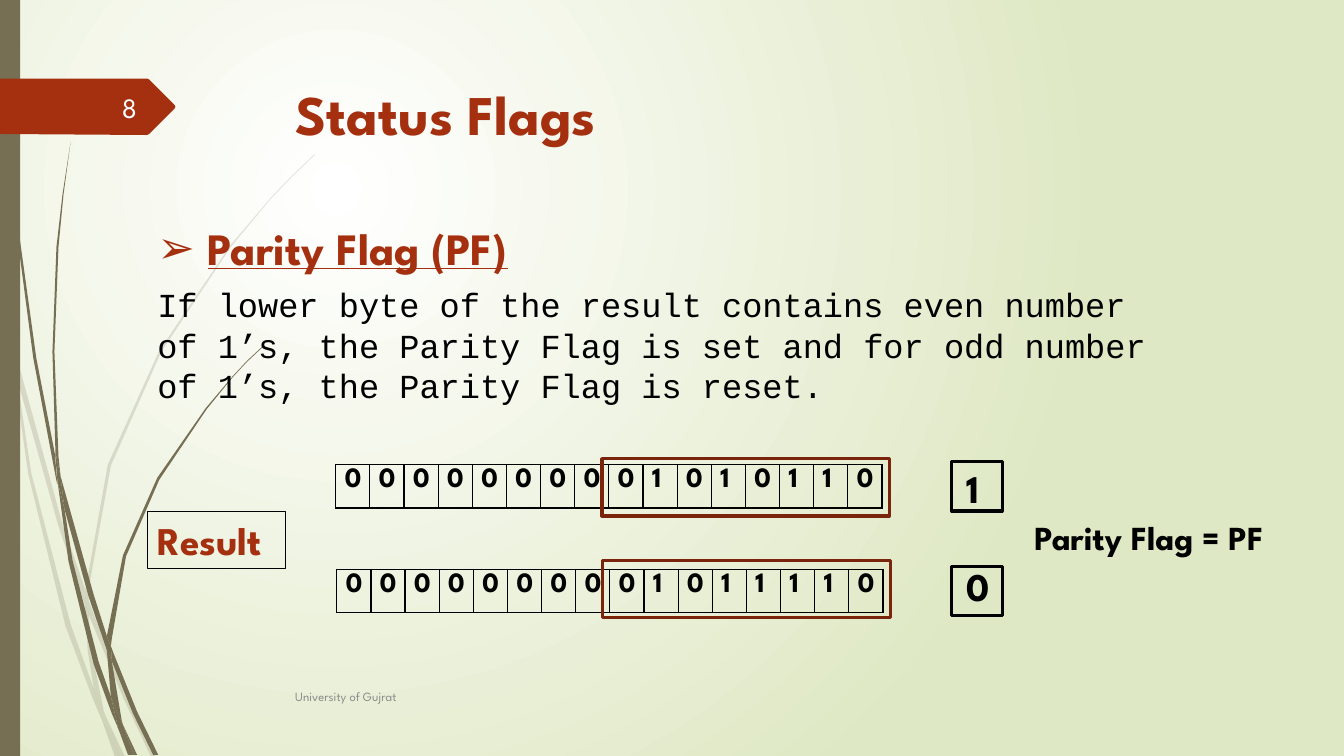
from lxml import etree
from pptx import Presentation
from pptx.dml.color import RGBColor
from pptx.enum.shapes import MSO_SHAPE
from pptx.enum.text import MSO_ANCHOR, MSO_AUTO_SIZE, PP_ALIGN
from pptx.oxml.ns import qn
from pptx.util import Pt

PX = 9144  # 100 px to the inch
RECT = MSO_SHAPE.RECTANGLE
TOP, MIDDLE = MSO_ANCHOR.TOP, MSO_ANCHOR.MIDDLE
LEFT, RIGHT = PP_ALIGN.LEFT, PP_ALIGN.RIGHT
NO_FIT = MSO_AUTO_SIZE.NONE
SPARTAN, COURIER = "League Spartan", "Courier New"
C = {"white": "FFFFFF", "green": "DFE8C4", "olive": "766F54", "rust": "A53010",
     "brown": "7A240C", "black": "000000", "gray": "8C8C8C", "number": "FEFFFF"}

# Outlines of the grass blade pieces
PALE_BLADES = [
    [(11, 350), (9, 322), (0, 282), (0, 299), (10, 344)],
    [(58, 522), (84, 599), (85, 586), (62, 520), (14, 345), (17, 376)],
    [(92, 607), (88, 596), (88, 610), (123, 694), (150, 751), (155, 751), (127, 692)],
    [(119, 751), (124, 751), (105, 711)],
    [(93, 683), (70, 619), (31, 469), (17, 376), (11, 350), (28, 470), (65, 621),
     (92, 693), (101, 714), (99, 707)],
    [(84, 599), (87, 646), (93, 683), (96, 692), (105, 711), (103, 706), (91, 646),
     (88, 610), (88, 608)],
    [(88, 584), (110, 462), (160, 349), (229, 245), (268, 198), (290, 175), (312, 154),
     (312, 153), (289, 175), (268, 197), (228, 244), (158, 348), (107, 461), (85, 584),
     (85, 586), (88, 596)],
    [(101, 714), (114, 751), (119, 751)],
    [(88, 608), (88, 610), (88, 596), (85, 586), (84, 599)],
    [(96, 692), (93, 683), (99, 707), (101, 714), (119, 751), (105, 711)],
]
DARK_BLADES = [
    [(7, 110), (17, 233), (33, 355), (56, 477), (57, 481), (55, 457), (55, 453),
     (36, 355), (19, 232), (8, 109), (5, 48), (4, 0), (3, 0), (4, 48)],
    [(88, 592), (106, 645), (106, 631), (93, 590), (60, 472), (64, 505)],
    [(113, 649), (110, 641), (111, 656), (132, 708), (152, 749), (157, 749), (136, 706)],
    [(110, 691), (98, 657), (72, 556), (64, 505), (57, 477), (68, 557), (93, 659),
     (111, 708), (117, 722), (116, 717)],
    [(60, 472), (58, 453), (54, 349), (58, 245), (63, 193), (70, 141), (62, 193),
     (56, 245), (52, 349), (55, 449)],
    [(133, 749), (136, 749), (122, 719)],
    [(57, 477), (64, 505), (60, 472), (55, 449), (55, 453)],
    [(111, 633), (125, 552), (158, 476), (205, 406), (231, 374), (245, 359), (261, 344),
     (260, 344), (245, 358), (231, 373), (204, 405), (156, 474), (122, 551), (106, 631),
     (110, 641)],
    [(117, 722), (127, 749), (131, 749)],
    [(106, 645), (110, 691), (116, 706), (122, 719), (121, 716), (111, 656), (109, 651)],
    [(106, 645), (109, 651), (111, 656), (110, 641), (106, 631), (106, 633)],
    [(116, 706), (110, 691), (116, 717), (117, 722), (130, 749), (133, 749), (122, 719)],
]
NUMBER_TAB = [(0, 78), (146, 78), (148, 79), (173, 104), (174, 106), (173, 108),
              (148, 133), (146, 134), (0, 133)]


def rgb(name):
    return RGBColor.from_string(C[name])


def emu(box):
    return [v * PX for v in box]


def place(sp, box):
    sp.left, sp.top, sp.width, sp.height = emu(box)


def write(p, text, size, color="black", font=SPARTAN, **fmt):
    r = p.add_run()
    r.text = text
    r.font.color.rgb = rgb(color)
    for key, value in {"size": Pt(size), "name": font, **fmt}.items():
        setattr(r.font, key, value)


def frame(tf, anchor=TOP):
    for key, value in {"word_wrap": True, "auto_size": NO_FIT,
                       "vertical_anchor": anchor}.items():
        setattr(tf, key, value)


def label(s, box, text, size, color="black", anchor=TOP, align=LEFT, bold=True):
    tf = s.shapes.add_textbox(*emu(box)).text_frame
    frame(tf, anchor)
    tf.paragraphs[0].alignment = align
    write(tf.paragraphs[0], text, size, color, bold=bold)


def outlined_box(s, box, color, width):
    sp = s.shapes.add_shape(RECT, *emu(box))
    sp.shadow.inherit = False
    sp.fill.background()
    sp.line.color.rgb = rgb(color)
    sp.line.width = Pt(width)
    return sp


def paint(sp, color, alpha=100):
    sp.shadow.inherit = False
    sp.fill.solid()
    sp.fill.fore_color.rgb = rgb(color)
    sp.line.fill.background()
    if alpha < 100:
        clr = sp.element.spPr.find(".//" + qn("a:srgbClr"))
        etree.SubElement(clr, qn("a:alpha"), val=str(alpha * 1000))


def polygon(s, points, color, alpha=100):
    builder = s.shapes.build_freeform(*points[0], scale=PX)
    builder.add_line_segments(points[1:], close=True)
    paint(builder.convert_to_shape(), color, alpha)


def background(s):
    fill = s.background.fill
    fill.gradient()
    for stop, name in zip(fill.gradient_stops, ("white", "green")):
        stop.color.rgb = rgb(name)
    grad = s.element.find(".//" + qn("a:gradFill"))
    grad.remove(grad.find(qn("a:lin")))
    path = etree.SubElement(grad, qn("a:path"), path="circle")
    etree.SubElement(path, qn("a:fillToRect"), l="50000", t="50000",
                     r="100000", b="100000")


def decoration(s):
    for pieces, alpha in ((PALE_BLADES, 20), (DARK_BLADES, 100)):
        for piece in pieces:
            polygon(s, piece, "olive", alpha)
    paint(s.shapes.add_shape(RECT, *emu((0, 0, 20, 750))), "olive")
    polygon(s, NUMBER_TAB, "rust")


def title(s, box, text):
    sp = s.shapes.title
    s.shapes.element.append(sp.element)  # in front of the decoration
    place(sp, box)
    frame(sp.text_frame)
    p = sp.text_frame.paragraphs[0]
    p.alignment = LEFT
    write(p, text, 40, "rust", bold=True)


def body(s, box, heading, text):
    sp = s.placeholders[1]
    s.shapes.element.append(sp.element)
    place(sp, box)
    tf = sp.text_frame
    frame(tf)
    head, para = tf.paragraphs[0], tf.add_paragraph()
    for p, indent, before, bullet in ((head, 50, 0, {"char": "➢"}), (para, 0, 7, {})):
        p.space_before, p.line_spacing = Pt(before), 1.0
        pPr = p._p.get_or_add_pPr()
        pPr.set("marL", str(indent * PX))
        pPr.set("indent", str(-indent * PX))
        etree.SubElement(pPr, qn("a:buChar" if bullet else "a:buNone"), **bullet)
    write(head, heading, 32, "rust", bold=True, underline=True)
    write(para, text, 24, font=COURIER)


def cell_borders(cell):
    tcPr = cell._tc.get_or_add_tcPr()
    for i, side in enumerate("LRTB"):
        ln = etree.Element(qn("a:ln" + side), w=str(Pt(1)))
        fill = etree.SubElement(ln, qn("a:solidFill"))
        etree.SubElement(fill, qn("a:srgbClr"), val=C["black"])
        tcPr.insert(i, ln)


def bit_row(s, box, bits):
    table = s.shapes.add_table(1, len(bits), *emu(box)).table
    table.first_row = table.horz_banding = False
    for column, cell, bit in zip(table.columns, table.rows[0].cells, bits):
        column.width = box[2] * PX // len(bits)
        cell.margin_left, cell.margin_top = 9 * PX, 3 * PX
        cell.margin_right = cell.margin_bottom = 0
        cell.fill.background()
        write(cell.text_frame.paragraphs[0], bit, 20, bold=True)
        cell_borders(cell)


def parity_example(s, box, bits, byte_top, flag, flag_top, text_top):
    x, y, w, h = box
    bit_row(s, box, bits)
    outlined_box(s, (x + 264, byte_top, 285, 57), "brown", 2.25)  # lower byte
    outlined_box(s, (944, flag_top, 50, 49), "black", 2.25)
    label(s, (949, text_top, 34, 57), flag, 28)


def main():
    prs = Presentation()
    prs.slide_width, prs.slide_height = 1333 * PX, 750 * PX
    s = prs.slides.add_slide(prs.slide_layouts[1])
    background(s)
    decoration(s)
    title(s, (283, 74, 975, 140), "Status Flags")
    label(s, (283, 671, 833, 40), "University of Gujrat", 9, "gray", MIDDLE, bold=False)
    label(s, (61, 86, 85, 40), "8", 20, "number", MIDDLE, RIGHT, bold=False)
    body(s, (146, 214, 1017, 269), "Parity Flag (PF)",
         "If lower byte of the result contains even number of 1’s, the Parity Flag "
         "is set and for odd number of 1’s, the Parity Flag is reset.")
    # Result and flag labels
    tf = outlined_box(s, (146, 507, 137, 57), "black", 0.75).text_frame
    frame(tf)
    tf.paragraphs[0].alignment = LEFT
    write(tf.paragraphs[0], "Result", 28, "rust", bold=True)
    label(s, (1016, 508, 262, 50), "Parity Flag = PF", 24)
    # Even and odd examples
    parity_example(s, (333, 461, 542, 43), "0000000001010110", 455, "1", 458, 456)
    parity_example(s, (334, 565, 542, 43), "0000000001011110", 556, "0", 562, 553)
    prs.save("out.pptx")


if __name__ == "__main__":
    main()
